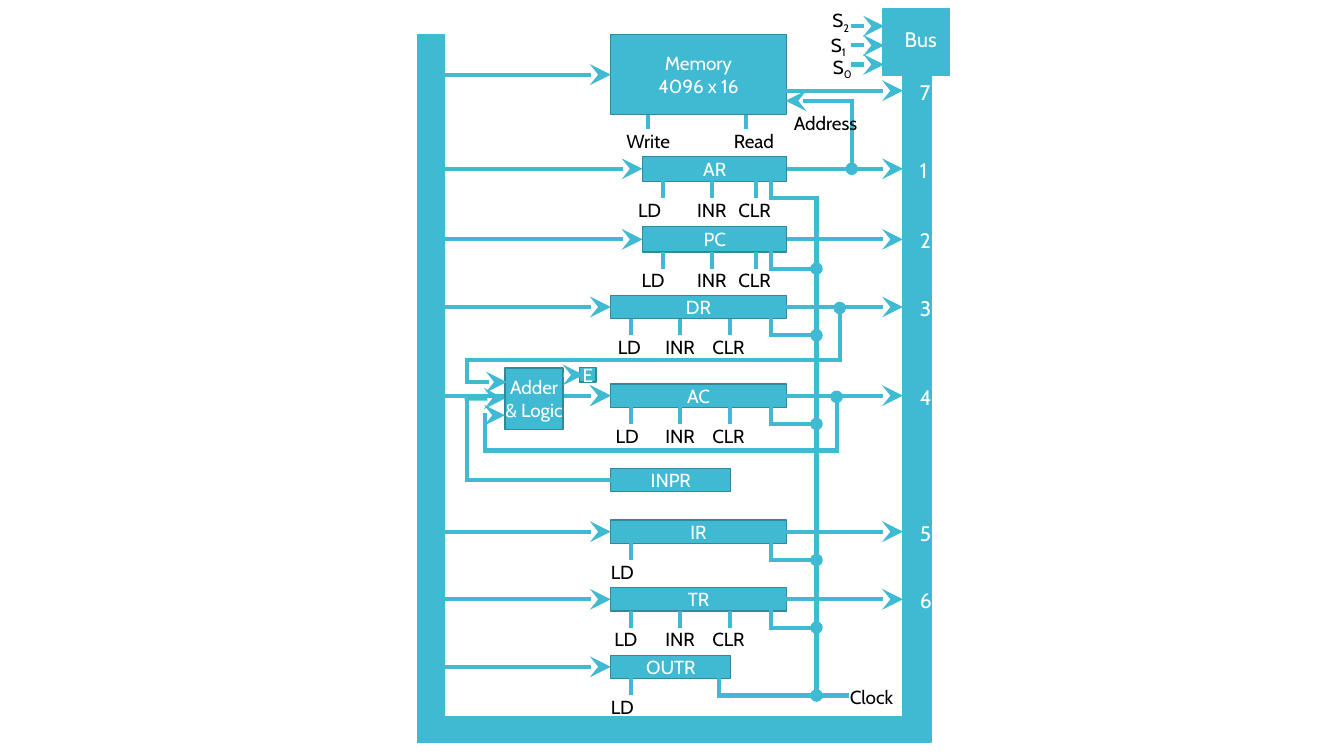
from itertools import pairwise
from pptx import Presentation
from pptx.dml.color import RGBColor
from pptx.enum.shapes import MSO_CONNECTOR as Conn, MSO_SHAPE as Shape
from pptx.enum.text import MSO_ANCHOR as Anchor, MSO_AUTO_SIZE as Fit, PP_ALIGN as Align
from pptx.oxml.ns import qn
from pptx.util import Pt
from lxml.etree import SubElement

HUES = {"teal": "40BAD2", "edge": "2F8A9B", "white": "FFFFFF", "black": "000000"}
FACE, SIZE, BIG = "Cabin", 13.5, 15
LEFT, RIGHT, CLOCK = 317.5, 645, 583.2  # inner sides of the bus rails, clock trunk
PIN, DROP, TAP = 11.9, 8.6, 550.8  # pin length, pin to label, clock tap
WIDE, SLIM, SHORT = (436.3, 125.3, 16.6), (459, 103, 18), (436.3, 85.7, 16.6)

# name, top, (left, width, height), centre of LD label, pin count, bus number
REGS = [
    ("AR", 111.6, SLIM, 464, 3, "1"),
    ("PC", 162, SLIM, 466.5, 3, "2"),
    ("DR", 211, WIDE, 449.5, 3, "3"),
    ("AC", 274.3, WIDE, 448, 3, "4"),
    ("IR", 371.5, WIDE, 444.5, 1, "5"),
    ("TR", 419.8, WIDE, 447, 3, "6"),
    ("OUTR", 468, SHORT, 444.5, 1, ""),
]


def hue(name):
    return RGBColor.from_string(HUES[name])


def style(para, size, color):
    para.alignment = Align.CENTER
    para.font.name, para.font.size = FACE, Pt(size)
    para.font.color.rgb = hue(color)


def box(slide, x, y, w, h, text="", edge="edge", pad=(5, 3), wrap=True):
    shape = slide.shapes.add_shape(Shape.RECTANGLE, Pt(x), Pt(y), Pt(w), Pt(h))
    shape.shadow.inherit = False
    shape.fill.solid()
    shape.fill.fore_color.rgb = hue("teal")
    shape.line.color.rgb = hue(edge)
    shape.line.width = Pt(0.85)
    if text:
        frame = shape.text_frame
        frame.text = text
        frame.word_wrap, frame.vertical_anchor = wrap, Anchor.MIDDLE
        frame.margin_left = frame.margin_right = Pt(pad[0])
        frame.margin_top = frame.margin_bottom = Pt(pad[1])
        for para in frame.paragraphs:
            style(para, SIZE, "white")
    return shape


def label(slide, text, mid, top, size=SIZE, color="black", width=38, sub=""):
    note = slide.shapes.add_textbox(Pt(mid - width / 2), Pt(top), Pt(width), Pt(size * 1.75))
    frame = note.text_frame
    frame.word_wrap, frame.auto_size = False, Fit.SHAPE_TO_FIT_TEXT
    para = frame.paragraphs[0]
    para.add_run().text = text
    if sub:
        low = para.add_run()
        low.text = sub
        low._r.get_or_add_rPr().set("baseline", "-25000")
    style(para, size, color)


def wire(slide, spots, start="", end="", src=None, dst=None):
    """Draw straight lines through spots; src and dst are (shape, side) joins."""
    parts = []
    for (x, y), (u, v) in pairwise(spots):
        part = slide.shapes.add_connector(Conn.STRAIGHT, Pt(x), Pt(y), Pt(u), Pt(v))
        part.line.color.rgb, part.line.width = hue("teal"), Pt(3)
        SubElement(part._element.spPr, qn("a:effectLst"))
        if len(spots) > 2:
            part.line._get_or_add_ln().set("cap", "sq")
        parts.append(part)
    for part, tag, kind in ((parts[0], "a:headEnd", start), (parts[-1], "a:tailEnd", end)):
        if kind:
            span = "lg" if kind == "stealth" else "med"
            SubElement(part.line._get_or_add_ln(), qn(tag), type=kind, w=span, len=span)
    if src:
        parts[0].begin_connect(*src)
    if dst:
        parts[-1].end_connect(*dst)


def reg(slide, name, top, size, ld, count, number):
    left, width, high = size
    base, mid, edge = top + high, top + high / 2, left + width
    shape = box(slide, left, top, width, high, name)
    wire(slide, [(LEFT, mid), (left, mid)], end="stealth", dst=(shape, 1))
    if number:
        wire(slide, [(edge, mid), (RIGHT, mid)], end="stealth", src=(shape, 3))
        label(slide, number, 658, mid - 11.8, BIG, "white", 16)
    # Control pins
    last = left + (81 if size == SLIM else 85)
    pins = [("LD", left + 14.4, ld), ("INR", left + 49.7, left + 49.4), ("CLR", last, last - 1)]
    for text, x, at in pins[:count]:
        wire(slide, [(x, base), (x, base + PIN)])
        label(slide, text, at, base + DROP)
    # Clock tap
    low = base + PIN
    if name == "AR":
        wire(slide, [(TAP, base), (TAP, low), (CLOCK, low), (CLOCK, 496.8)], end="oval")
    elif name == "OUTR":
        wire(slide, [(513.4, base), (513.4, 496.8), (604.8, 496.8)])
    else:
        wire(slide, [(TAP, base), (TAP, low), (CLOCK, low)], end="oval")
    return shape


def rails(slide):
    for spot in ((630.7, 6.5, 47.5, 47.5), (298, 512, 367, 18),
                 (298, 24.5, 19.5, 506), (RIGHT, 51, 20, 479)):
        box(slide, *spot, edge="teal")
    label(slide, "Bus", 657.7, 15.1, BIG, "white", 55)
    for digit, mid, top, y in (("2", 600.5, 2.9, 18.7), ("1", 598.7, 20.2, 32.4), ("0", 601.6, 36, 46.1)):
        wire(slide, [(608, y), (631.5, y)], end="stealth")
        label(slide, "S", mid, top, sub=digit)


def memory(slide):
    shape = box(slide, 436.3, 24.5, 125.3, 57.6, "Memory\n4096 x 16")
    wire(slide, [(LEFT, 53.3), (436.3, 53.3)], end="stealth", dst=(shape, 1))
    wire(slide, [(561.6, 64.8), (RIGHT, 64.8)], end="stealth")
    label(slide, "7", 658, 53.3, BIG, "white", 16)
    for text, x, mid in (("Write", 463, 463), ("Read", 532.8, 538.5)):
        wire(slide, [(x, 82), (x, 92.2)])
        label(slide, text, mid, 89, width=48)
    # Address line from AR
    wire(slide, [(608.4, 120.6), (608.4, 72), (561.2, 72)], start="oval", end="stealth")
    label(slide, "Address", 589.7, 76.3, width=66)


def adder(slide, store):
    unit = box(slide, 360.7, 262.8, 41.4, 43.9, "Adder\v& Logic", pad=(0, 0), wrap=False)
    box(slide, 414, 262.8, 11.8, 10.1, "E", pad=(0, 0), wrap=False)
    entry = box(slide, 436.3, 334.8, 85.7, 16.6, "INPR")
    wire(slide, [(402.5, 267.8), (416.9, 267.8)], end="stealth")
    wire(slide, [(403.2, 282.6), (436.3, 282.6)], end="stealth", dst=(store, 1))
    # Feeds from DR, INPR and AC
    wire(slide, [(599.8, 220), (599.8, 257), (333.4, 257), (333.4, 272.9), (362, 272.9)],
         start="oval", end="stealth")
    wire(slide, [(436.3, 343.1), (333.4, 343.1), (333.4, 284.7), (360.7, 284.7)],
         end="stealth", src=(entry, 1), dst=(unit, 1))
    wire(slide, [(597.6, 283.5), (597.6, 321.8), (346.3, 321.8), (346.3, 296.6), (360.7, 296.6)],
         start="oval", end="stealth")


def main():
    deck = Presentation()
    deck.slide_width, deck.slide_height = Pt(960), Pt(540)
    slide = deck.slides.add_slide(deck.slide_layouts[6])
    rails(slide)
    memory(slide)
    shapes = {row[0]: reg(slide, *row) for row in REGS}
    adder(slide, shapes["AC"])
    label(slide, "Clock", 622.5, 486, width=55)
    deck.save("out.pptx")


if __name__ == "__main__":
    main()
